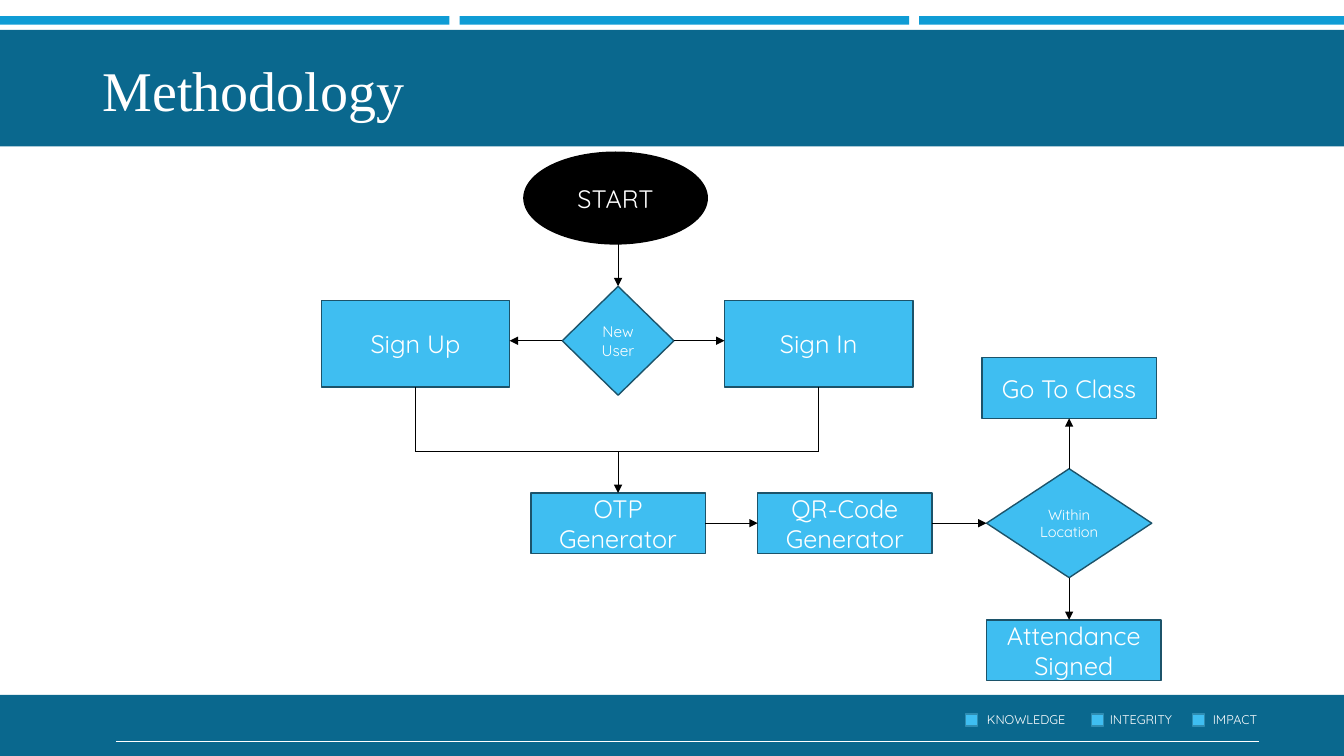
import pptx
import pptx.util
import pptx.dml.color
import pptx.enum.shapes
import pptx.enum.text
import pptx.oxml
import pptx.oxml.ns

Pt = pptx.util.Pt
RGBColor = pptx.dml.color.RGBColor
SHAPE = pptx.enum.shapes.MSO_SHAPE
ALIGN = pptx.enum.text.PP_ALIGN
ANCHOR = pptx.enum.text.MSO_ANCHOR

WHITE = RGBColor(0xFF, 0xFF, 0xFF)
BLACK = RGBColor(0x00, 0x00, 0x00)
BAND_BLUE = RGBColor(0x0A, 0x68, 0x8E)
STRIPE_BLUE = RGBColor(0x0F, 0x9C, 0xD5)
NODE_BLUE = RGBColor(0x3F, 0xBE, 0xF1)
NODE_EDGE = RGBColor(0x1C, 0x53, 0x6A)
MARKER_EDGE = RGBColor(0x2F, 0x8D, 0xB2)

BODY_FONT = "Quicksand"
TITLE_FONT = "Times New Roman"
TOP, LEFT, BOTTOM, RIGHT = range(4)


def style_text(shape, text, size, font, alignment):
    shape.text_frame.text = text
    paragraph = shape.text_frame.paragraphs[0]
    paragraph.alignment = alignment
    for run in paragraph.runs:
        run.font.size = Pt(size)
        run.font.name = font
        run.font.color.rgb = WHITE
    return paragraph


def add_box(slide, kind, box, fill, edge=None):
    """Add a filled preset shape; box is left, top, width, height in points."""
    shape = slide.shapes.add_shape(kind, *map(Pt, box))
    shape.shadow.inherit = False
    shape.fill.solid()
    shape.fill.fore_color.rgb = fill
    if edge is None:
        shape.line.fill.background()
    else:
        shape.line.color.rgb = edge
        shape.line.width = Pt(1)
    return shape


def add_line(slide, start, end, color=BLACK, arrow=False):
    """Draw a line; each end is a point (x, y) or a pair (shape, side)."""
    points = [(0, 0) if hasattr(place[0], "shape_type") else place
              for place in (start, end)]
    connector = slide.shapes.add_connector(
        pptx.enum.shapes.MSO_CONNECTOR.STRAIGHT,
        *(Pt(value) for point in points for value in point))
    if hasattr(start[0], "shape_type"):
        connector.begin_connect(*start)
    if hasattr(end[0], "shape_type"):
        connector.end_connect(*end)
    connector.line.color.rgb = color
    connector.line.width = Pt(0.5)
    if arrow:
        tail = pptx.oxml.parse_xml(
            f'<a:tailEnd {pptx.oxml.ns.nsdecls("a")} type="triangle"/>')
        connector.line._get_or_add_ln().append(tail)
    connector._element.spPr.append(pptx.oxml.parse_xml(
        f'<a:effectLst {pptx.oxml.ns.nsdecls("a")}/>'))


def add_header(slide, left, top, width, height):
    stripe_width, stripe_pitch = 321.1, 328.3
    for index in range(3):
        stripe_box = (left + index * stripe_pitch, top, stripe_width, 6)
        add_box(slide, SHAPE.RECTANGLE, stripe_box, STRIPE_BLUE)
    band_box = (left - 3, top + 9.7, width + 3, height - 9.7)
    add_box(slide, SHAPE.RECTANGLE, band_box, BAND_BLUE)

    title = slide.shapes.title
    title.left, title.top = Pt(left + 66.2), Pt(top + 20)
    title.width, title.height = Pt(828), Pt(60)
    title.text_frame.vertical_anchor = ANCHOR.BOTTOM
    paragraph = style_text(title, "Methodology", 40, TITLE_FONT, ALIGN.LEFT)
    paragraph.line_spacing = 0.9
    slide.shapes._spTree.append(title._element)  # in front of the band


def add_footer(slide, left, top, width, height):
    add_box(slide, SHAPE.RECTANGLE, (left - 3, top, width + 3, height), BAND_BLUE)
    add_line(slide, (left + 82.8, top + 33.2), (left + 899.3, top + 33.2), WHITE)
    values = [("KNOWLEDGE", 689.8, 705), ("INTEGRITY", 779.8, 792.7),
              ("IMPACT", 851.8, 866.3)]
    for text, marker_left, text_left in values:
        marker_box = (left + marker_left, top + 13.7, 8.6, 8.6)
        add_box(slide, SHAPE.RECTANGLE, marker_box, NODE_BLUE, MARKER_EDGE)
        label = slide.shapes.add_textbox(
            Pt(left + text_left), Pt(top + 8.7), Pt(70), Pt(18))
        label.text_frame.margin_left = label.text_frame.margin_right = 0
        label.text_frame.word_wrap = True
        style_text(label, text, 9, BODY_FONT, ALIGN.LEFT)


def add_flowchart(slide, left, top):
    def node(text, x, y, width, height, kind=SHAPE.RECTANGLE, size=18,
             fill=NODE_BLUE, edge=NODE_EDGE):
        shape = add_box(slide, kind, (left + x, top + y, width, height), fill, edge)
        shape.text_frame.vertical_anchor = ANCHOR.MIDDLE
        style_text(shape, text, size, BODY_FONT, ALIGN.CENTER)
        return shape

    sign_size, step_size = (134.6, 61.9), (124.6, 43.2)
    node("START", 145.4, 0.7, 131, 65.5, SHAPE.OVAL, fill=BLACK, edge=BLACK)
    new_user = node("New User", 172.8, 96.5, 79.8, 77.8, SHAPE.DIAMOND, 11)
    sign_up = node("Sign Up", 0.7, 106.6, *sign_size)
    sign_in = node("Sign In", 288.7, 106.6, *sign_size)
    otp = node("OTP Generator", 150.4, 244.1, *step_size)
    qr_code = node("QR-Code Generator", 312.4, 244.1, *step_size)
    within = node("Within Location", 475.9, 226.8, 118, 77.8, SHAPE.DIAMOND, 10.5)
    go_to_class = node("Go To Class", 472.6, 147.6, *step_size)
    node("Attendance Signed", 475.9, 334.8, *step_size)

    main_x, user_y = left + 212.7, top + 135.4
    merge_y = top + 214.6
    up_x, in_x = left + 68, left + 356
    add_line(slide, (sign_up, BOTTOM), (up_x, merge_y))
    add_line(slide, (sign_in, BOTTOM), (in_x, merge_y))
    add_line(slide, (up_x, merge_y), (in_x, merge_y))

    arrows = [
        ((main_x, top + 66.2), (new_user, TOP)),
        ((new_user, LEFT), (left + 135.3, user_y)),
        ((new_user, RIGHT), (left + 288.7, user_y)),
        ((main_x, merge_y), (otp, TOP)),
        ((otp, RIGHT), (qr_code, LEFT)),
        ((qr_code, RIGHT), (within, LEFT)),
        ((within, TOP), (go_to_class, BOTTOM)),
        ((within, BOTTOM), (left + 534.9, top + 334.8)),
    ]
    for start, end in arrows:
        add_line(slide, start, end, arrow=True)


def main():
    presentation = pptx.Presentation()
    presentation.slide_width, presentation.slide_height = Pt(960), Pt(540)
    slide = presentation.slides.add_slide(presentation.slide_layouts[5])
    add_footer(slide, 0, 496.3, 960, 43.7)
    add_header(slide, 0, 11.6, 960, 93)
    add_flowchart(slide, 228.8, 108)
    presentation.save("out.pptx")


if __name__ == "__main__":
    main()
